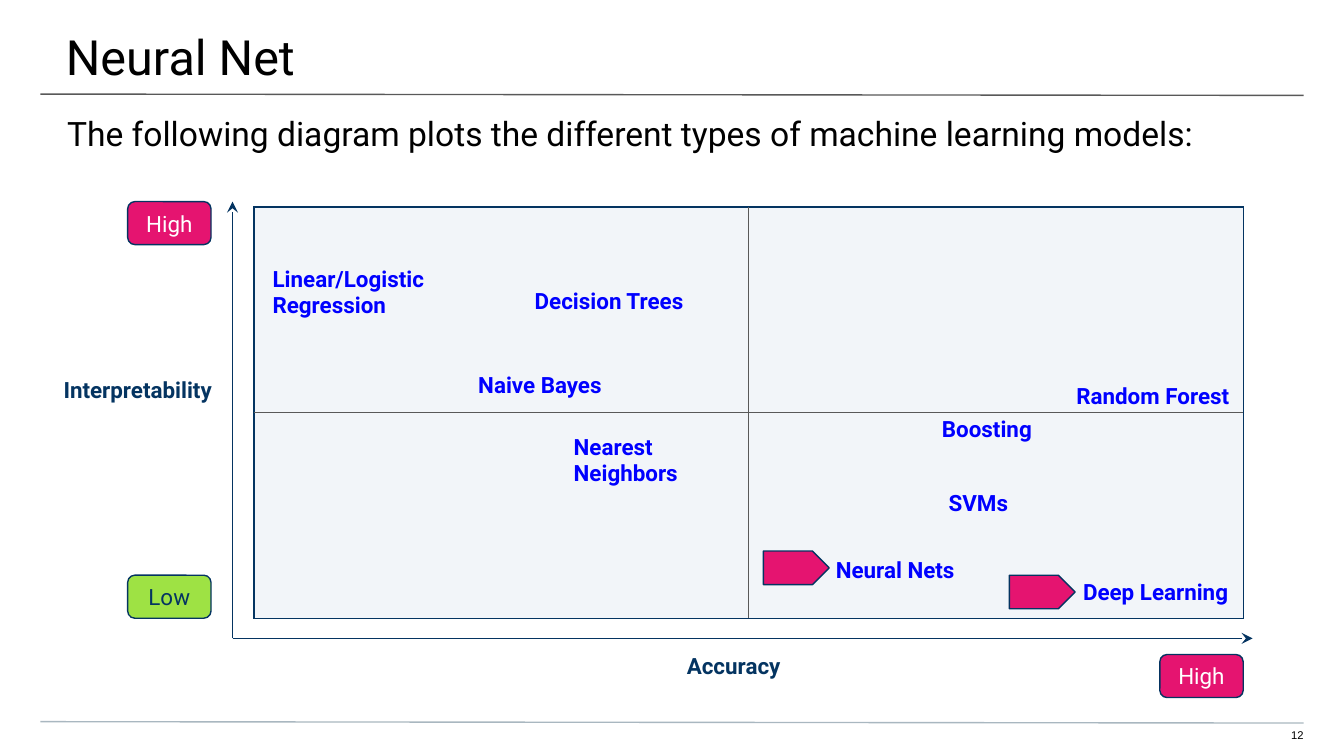
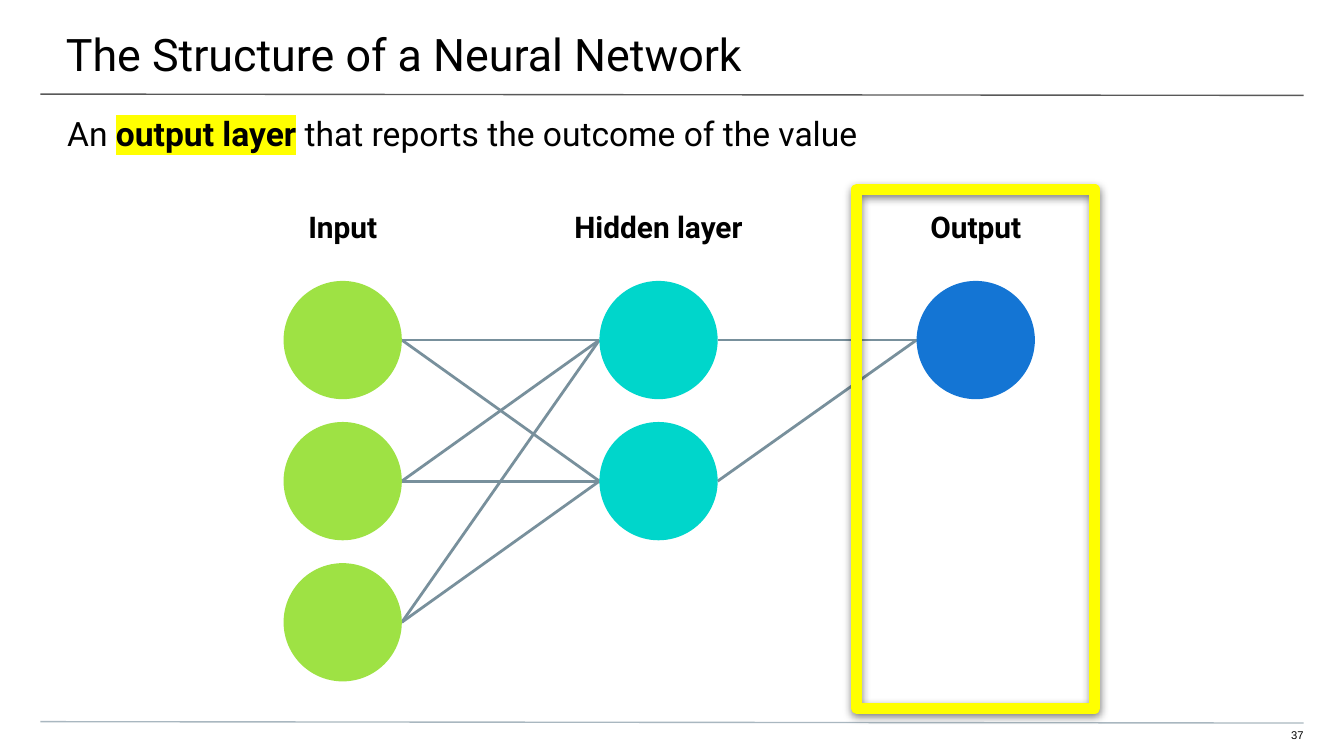
from itertools import product

from lxml import etree
from pptx import Presentation
from pptx.dml.color import RGBColor
from pptx.enum import shapes, text
from pptx.oxml import ns
from pptx.util import Inches, Pt

BLACK = RGBColor(0x00, 0x00, 0x00)
WHITE = RGBColor(0xFF, 0xFF, 0xFF)
NAVY = RGBColor(0x04, 0x34, 0x61)
PINK = RGBColor(0xE5, 0x14, 0x70)
LIME = RGBColor(0x9E, 0xE2, 0x44)
TEAL = RGBColor(0x00, 0xD6, 0xCB)
BLUE = RGBColor(0x14, 0x75, 0xD4)
LABEL_BLUE = RGBColor(0x00, 0x00, 0xFF)
YELLOW = RGBColor(0xFF, 0xFF, 0x00)
PALE = RGBColor(0xF2, 0xF5, 0xF9)
DARK_GREY = RGBColor(0x59, 0x59, 0x59)
FOOT_GREY = RGBColor(0xA9, 0xB7, 0xC0)
EDGE_GREY = RGBColor(0x78, 0x90, 0x9C)

FONT = "Roboto"
MARGINS = (0.1, 0.1, 0.1, 0.1)
ALIGN = text.PP_ALIGN
SHAPE = shapes.MSO_SHAPE
PAGE_WIDTH = 10
PAGE_HEIGHT = PAGE_WIDTH * 9 / 16

# Label, then left, top, width and height from the plot's corner
MODELS = [
    ("Linear/Logistic\nRegression", 0.04, 0.33, 1.45, 0.84),
    ("Decision Trees", 1.99, 0.5, 1.45, 0.64),
    ("Naive Bayes", 1.57, 1.12, 1.79, 0.84),
    ("Nearest\nNeighbors", 2.28, 1.58, 1.45, 0.84),
    ("Boosting", 5.02, 1.45, 1.45, 0.64),
    ("SVMs", 5.07, 2, 1.45, 0.64),
    ("Neural Nets", 4.23, 2.5, 1.45, 0.64),
    ("Deep Learning", 6.07, 2.66, 1.45, 0.64),
    ("Random Forest", 6.02, 1.2, 1.45, 0.84),
]
# Heading, heading width, circle left from the network's corner, count, colour
LAYERS = [
    ("Input", 1.38, 0, 3, LIME),
    ("Hidden layer", 1.77, 2.35, 2, TEAL),
    ("Output", 1.77, 4.71, 1, BLUE),
]


def inches(values):
    return [Inches(value) for value in values]


def add_xml(parent, tag, **attributes):
    return etree.SubElement(parent, ns.qn(tag), attributes)


def add_color(parent, color):
    return add_xml(add_xml(parent, "a:solidFill"), "a:srgbClr", val=str(color))


def write(frame, spans, size, color, bold=False, align=ALIGN.LEFT,
          margins=MARGINS, anchor=text.MSO_ANCHOR.TOP, font=FONT):
    """Fill a text frame with (text, highlighted) spans; a newline starts a paragraph."""
    frame.word_wrap = True
    frame.auto_size = text.MSO_AUTO_SIZE.NONE
    frame.vertical_anchor = anchor
    (frame.margin_left, frame.margin_top,
     frame.margin_right, frame.margin_bottom) = inches(margins)
    para = frame.paragraphs[0]
    para.alignment = align
    for words, highlighted in spans:
        for number, line in enumerate(words.split("\n")):
            if number:
                para = frame.add_paragraph()
                para.alignment = align
            span = para.add_run()
            span.text = line
            span.font.size = Pt(size)
            span.font.name = font
            span.font.bold = bold or highlighted
            span.font.color.rgb = color
            if highlighted:
                highlight = etree.Element(ns.qn("a:highlight"))
                add_xml(highlight, "a:srgbClr", val=str(YELLOW))
                span.font._element.find(ns.qn("a:solidFill")).addnext(highlight)


def add_text(page, box, words, size, color, **style):
    frame = page.shapes.add_textbox(*inches(box)).text_frame
    write(frame, [(words, False)], size, color, **style)


def add_shape(page, kind, box, fill=None, line=None, width=0.75):
    shape = page.shapes.add_shape(kind, *inches(box))
    shape.shadow.inherit = False
    if fill is None:
        shape.fill.background()
    else:
        shape.fill.solid()
        shape.fill.fore_color.rgb = fill
    if line is None:
        shape.line.fill.background()
    else:
        shape.line.color.rgb = line
        shape.line.width = Pt(width)
    return shape


def add_line(page, start, end, color, width=0.75, arrow=False):
    line = page.shapes.add_connector(shapes.MSO_CONNECTOR.STRAIGHT,
                                     *inches(start + end))
    line.line.color.rgb = color
    line.line.width = Pt(width)
    if arrow:
        add_xml(line.line._get_or_add_ln(), "a:tailEnd", type="stealth")
    add_xml(line._element.spPr, "a:effectLst")


def add_page(deck, title, title_size, subtitle, number):
    """Add a page with its title, subtitle, two rules and page number."""
    page = deck.slides.add_slide(deck.slide_layouts[5])
    heading = page.shapes.title
    heading.left, heading.top, heading.width, heading.height = inches(
        (-0.01, 0, 10.03, 0.58))
    write(heading.text_frame, [(title, False)], title_size, BLACK,
          margins=(0.5, 0.2, 0.3, 0.1))
    for top, color in ((0.7, DARK_GREY), (5.37, FOOT_GREY)):
        add_line(page, (0.3, top), (9.7, top + 0.01), color)
    add_text(page, (9.41, 5.42, 0.29, 0.12), number, 6, BLACK,
             align=ALIGN.RIGHT, margins=(0, 0, 0, 0.1), font="Arial")
    box = page.shapes.add_textbox(*inches((0, 0.74, PAGE_WIDTH, 0.4)))
    write(box.text_frame, subtitle, 18, BLACK, margins=(0.5, 0.1, 0.5, 0))
    return page


def add_quadrants(page, left, top, width, height):
    frame = page.shapes.add_table(2, 2, *inches((left, top, width, height)))
    table = frame.table
    table.first_row = table.horz_banding = False
    for column in table.columns:
        column.width = Inches(width / 2)
    for row in table.rows:
        row.height = Inches(height / 2)
    for cell in table.iter_cells():
        properties = cell._tc.get_or_add_tcPr()
        for side in "LRTB":
            border = add_xml(properties, f"a:ln{side}", w=str(Pt(0.75)))
            add_color(border, NAVY)
        cell.fill.solid()
        cell.fill.fore_color.rgb = PALE
    middle, centre = left + width / 2, top + height / 2
    add_line(page, (middle, top), (middle, top + height), DARK_GREY)
    add_line(page, (left, centre), (left + width, centre), DARK_GREY)


def add_axes(page, left, top, width, height):
    """Draw both axes around the plot, with names and end badges."""
    origin = (left - 0.16, top + height + 0.15)
    add_line(page, origin, (origin[0], top - 0.04), NAVY, arrow=True)
    add_line(page, origin, (left + width + 0.07, origin[1]), NAVY, arrow=True)
    for words, box in (("Accuracy ", (*origin, 7.5, 0.4)),
                       ("Interpretability", (left - 1.57, top + 1.16, 1.41, 0.4))):
        add_text(page, box, words, 12, NAVY, bold=True, align=ALIGN.CENTER)
    for words, x, y, fill, color in (
            ("High", left - 0.94, top - 0.04, PINK, WHITE),
            ("Low", left - 0.94, top + 2.74, LIME, NAVY),
            ("High", left + width - 0.62, top + 3.33, PINK, WHITE)):
        badge = add_shape(page, SHAPE.ROUNDED_RECTANGLE, (x, y, 0.62, 0.32),
                          fill, NAVY)
        write(badge.text_frame, [(words, False)], 12, color,
              align=ALIGN.CENTER, anchor=text.MSO_ANCHOR.MIDDLE)


def add_model_plot(page, left, top, width, height):
    add_quadrants(page, left, top, width, height)
    for words, x, y, *size in MODELS:
        add_text(page, (left + x, top + y, *size), words, 12, LABEL_BLUE, bold=True)
    add_axes(page, left, top, width, height)
    for x, y in ((3.79, 2.56), (5.62, 2.74)):
        add_shape(page, SHAPE.PENTAGON, (left + x, top + y, 0.49, 0.25), PINK, NAVY)


def add_output_frame(page, box):
    frame = add_shape(page, SHAPE.RECTANGLE, box, line=YELLOW, width=6)
    effects = frame._element.spPr.find(ns.qn("a:effectLst"))
    shadow = add_xml(effects, "a:outerShdw", blurRad=str(Pt(4.5)),
                     dist=str(Pt(1.5)), dir="5400000", algn="bl", rotWithShape="0")
    add_xml(add_xml(shadow, "a:srgbClr", val=str(BLACK)), "a:alpha", val="50000")


def add_network(page, left, top):
    """Draw the layers, joining every circle to all circles of the next layer."""
    circle, pitch = 0.88, 1.05

    def centre(row):
        return top + row * pitch + circle / 2

    for (_, _, x, count, _), (_, _, next_x, next_count, _) in zip(LAYERS, LAYERS[1:]):
        for row, next_row in product(range(count), range(next_count)):
            add_line(page, (left + x + circle, centre(row)),
                     (left + next_x, centre(next_row)), EDGE_GREY, 1.5)
    for words, width, x, count, color in LAYERS:
        for row in range(count):
            add_shape(page, SHAPE.OVAL,
                      (left + x, top + row * pitch, circle, circle), color)
        heading_left = left + x + (circle - width) / 2
        if words == "Output":
            add_output_frame(page, (heading_left, top - 0.68, width, 3.86))
        add_text(page, (heading_left, top - 0.64, width, 0.47), words, 16, BLACK,
                 bold=True, align=ALIGN.CENTER)


def main():
    deck = Presentation()
    deck.slide_width, deck.slide_height = inches((PAGE_WIDTH, PAGE_HEIGHT))

    page = add_page(deck, "Neural Net", 26, [(
        "The following diagram plots the different types of machine learning models:",
        False)], "12")
    add_model_plot(page, 1.89, 1.54, 7.36, 3.06)

    page = add_page(deck, "The Structure of a Neural Network", 24, [
        ("An ", False), ("output layer", True),
        (" that reports the outcome of the value", False)], "37")
    add_network(page, 2.11, 2.09)

    deck.save("out.pptx")


if __name__ == "__main__":
    main()
